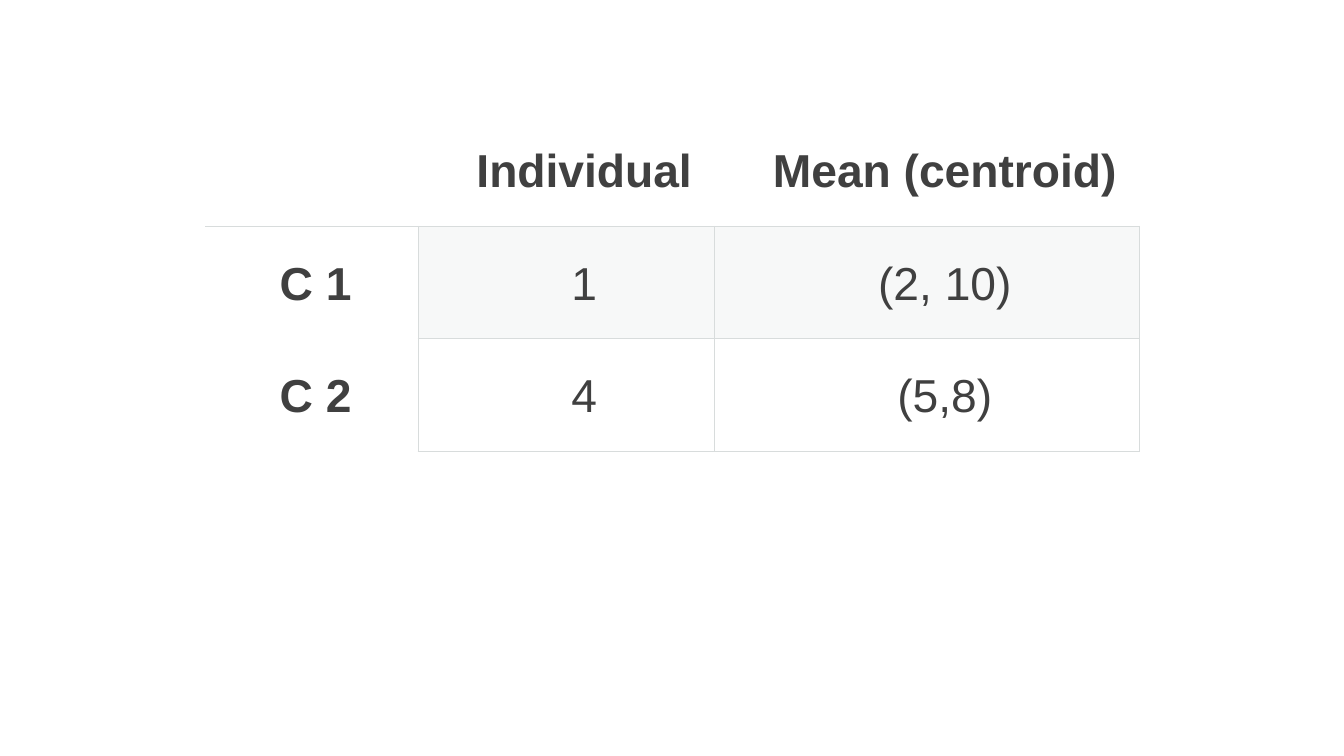
from lxml import etree
from pptx import Presentation
from pptx import util as u
from pptx.dml.color import RGBColor
from pptx.enum import text
from pptx.oxml import ns

INK, RULE, TINT = "404040", "D8DCDC", "D8DEDC"
CLUSTERS = [
    ["", "Individual", "Mean (centroid)"],
    ["C 1", "1", "(2, 10)"],
    ["C 2", "4", "(5,8)"],
]
COLUMN_SHARES = [152, 211.6, 303.6]


def paint(color, value):
    color.rgb = RGBColor.from_string(value)


def add_part(parent, tag, **attributes):
    return etree.SubElement(parent, ns.qn(tag), **attributes)


def ruled_sides(row, column):
    if row and column:
        return "LRTB"
    if row:
        return "RT" if row == 1 else "R"
    return "B"


def draw_borders(cell, sides):
    properties = cell._tc.get_or_add_tcPr()
    for side in "LRTB":
        border = add_part(properties, f"a:ln{side}", w=str(u.Pt(0.75)))
        if side in sides:
            rule = add_part(border, "a:solidFill")
            add_part(rule, "a:srgbClr", val=RULE)
        else:
            add_part(border, "a:noFill")


def fill_cell(cell, tinted):
    if not tinted:
        cell.fill.background()
        return
    cell.fill.solid()
    paint(cell.fill.fore_color, TINT)
    tint = cell._tc.tcPr.find(ns.qn("a:solidFill"))[0]
    add_part(tint, "a:alpha", val="20000")


def write_cell(cell, wording, is_label, bold):
    cell.vertical_anchor = text.MSO_ANCHOR.MIDDLE
    cell.margin_left = u.Pt(31.7)
    cell.margin_right = u.Pt(47.5 if is_label else 5.8)
    cell.margin_top = cell.margin_bottom = u.Pt(15.8)
    if not wording:
        return
    line = cell.text_frame.paragraphs[0]
    line.alignment = text.PP_ALIGN.RIGHT if is_label else text.PP_ALIGN.CENTER
    line.line_spacing = 1.07
    run = line.add_run()
    run.text = wording
    run.font.name = "Arial"
    run.font.size = u.Pt(33)
    run.font.bold = bold
    paint(run.font.color, INK)


def add_cluster_table(slide, left, top, width, height):
    clusters = slide.shapes.add_table(
        len(CLUSTERS), len(COLUMN_SHARES),
        u.Pt(left), u.Pt(top), u.Pt(width), u.Pt(height),
    ).table
    clusters.first_row = clusters.horz_banding = False
    for column, share in zip(clusters.columns, COLUMN_SHARES):
        column.width = u.Pt(width * share / sum(COLUMN_SHARES))
    for r, wordings in enumerate(CLUSTERS):
        clusters.rows[r].height = u.Pt(height / len(CLUSTERS))
        for c, wording in enumerate(wordings):
            cell = clusters.cell(r, c)
            draw_borders(cell, ruled_sides(r, c))
            fill_cell(cell, tinted=r == 1 and c > 0)
            write_cell(cell, wording, is_label=c == 0, bold=r == 0 or c == 0)


def main():
    deck = Presentation()
    deck.slide_width, deck.slide_height = u.Pt(960), u.Pt(540)
    slide = deck.slides.add_slide(deck.slide_layouts[6])
    add_cluster_table(slide, 146.6, 81.2, 667.2, 241.2)
    deck.save("out.pptx")


if __name__ == "__main__":
    main()
